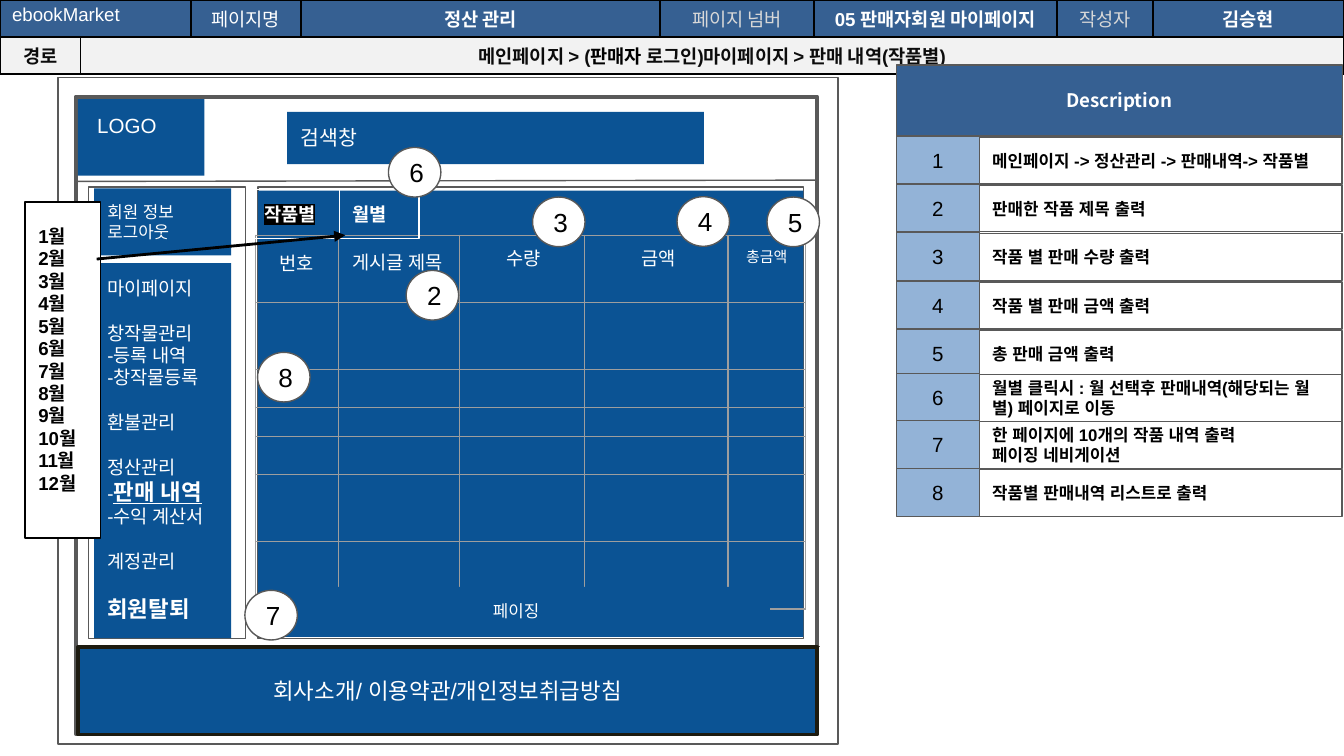
from lxml.etree import SubElement as Sub, Element as Elem
from pptx import Presentation
from pptx.dml.color import RGBColor as Rgb
from pptx.enum.shapes import MSO_CONNECTOR as Con, MSO_SHAPE as Kind
from pptx.enum.text import MSO_ANCHOR as Anchor, PP_ALIGN as Align
from pptx.oxml.ns import qn
from pptx.util import Pt

HEX = {
    "white": "FFFFFF", "black": "000000", "ink": "0C0C0C", "pale": "D8D8D8",
    "head": "366092", "band": "F2F2F2", "blue": "0B5394", "tag": "93B3D7",
    "gray": "595959", "grid": "9E9E9E", "dark": "1D1B10",
}
MID, TOP = Anchor.MIDDLE, Anchor.TOP
MAIN, ALT = "Arial", "Noto Sans CJK KR"
PAD = (7.2, 7.2, 7.2, 7.2)
FRAME = Pt(236.2)


def rgb(name):
    return Rgb.from_string(HEX[name])


def style(run, size, color, bold, font, east=None, under=False, mark=None):
    face = run.font
    face.size, face.bold, face.name = Pt(size), bold, font
    face.color.rgb = rgb(color)
    if under:
        face.underline = True
    props = run._r.get_or_add_rPr()
    props.find(qn("a:latin")).addnext(Elem(qn("a:ea"), typeface=east or font))
    if mark:
        high = Elem(qn("a:highlight"))
        Sub(high, qn("a:srgbClr"), val=HEX[mark])
        props.find(qn("a:solidFill")).addnext(high)


def write(box, text, size=10, color="white", bold=False, font=MAIN,
          align=Align.LEFT, anchor=TOP, pad=PAD, gaps=(), **more):
    """Fill a text frame or a cell; a line is a string or a list of (text, format)."""
    box.margin_left, box.margin_top, box.margin_right, box.margin_bottom = map(Pt, pad)
    box.vertical_anchor = anchor
    frame = getattr(box, "text_frame", box)
    lines = [text] if isinstance(text, str) else text
    for i, line in enumerate(lines):
        para = frame.add_paragraph() if i else frame.paragraphs[0]
        para.alignment = align
        if i in gaps:
            para.space_before = Pt(12)
        for words, extra in [(line, {})] if isinstance(line, str) else line:
            run = para.add_run()
            run.text = words
            base = dict(size=size, color=color, bold=bold, font=font, **more)
            style(run, **{**base, **extra})


class Page:
    def __init__(self, slide):
        self.shapes = slide.shapes

    def box(self, x, y, w, h, fill=None, line=None, width=0.75,
            kind=Kind.RECTANGLE, text=None, **form):
        shape = self.shapes.add_shape(kind, Pt(x), Pt(y), Pt(w), Pt(h))
        shape.shadow.inherit = False
        if fill:
            shape.fill.solid()
            shape.fill.fore_color.rgb = rgb(fill)
        else:
            shape.fill.background()
        if line:
            shape.line.color.rgb = rgb(line)
            shape.line.width = Pt(width)
        else:
            shape.line.fill.background()
        if text:
            shape.text_frame.word_wrap = True
            write(shape.text_frame, text, **form)

    def label(self, x, y, w, h, text, **form):
        frame = self.shapes.add_textbox(Pt(x), Pt(y), Pt(w), Pt(h)).text_frame
        frame.word_wrap = True
        write(frame, text, **form)

    def line(self, x1, y1, x2, y2, color="gray", width=0.75, arrow=False):
        link = self.shapes.add_connector(Con.STRAIGHT, Pt(x1), Pt(y1), Pt(x2), Pt(y2))
        link.line.color.rgb = rgb(color)
        link.line.width = Pt(width)
        if arrow:
            Sub(link.line._get_or_add_ln(), qn("a:tailEnd"), type="triangle")
        Sub(link._element.spPr, qn("a:effectLst"))

    def table(self, x, y, cols, rows, edge, width):
        holder = self.shapes.add_table(len(rows), len(cols), Pt(x), Pt(y), FRAME, FRAME)
        grid = holder.table
        grid.first_row = grid.horz_banding = False
        for col, size in zip(grid.columns, cols):
            col.width = Pt(size)
        for row, size in zip(grid.rows, rows):
            row.height = Pt(size)
        holder.width = holder.height = FRAME
        for cell in grid.iter_cells():
            props = cell._tc.get_or_add_tcPr()
            for side in "LRTB":
                ln = Sub(props, qn("a:ln" + side), w=str(Pt(width)))
                Sub(Sub(ln, qn("a:solidFill")), qn("a:srgbClr"), val=HEX[edge])
            cell.fill.background()
        return grid


deck = Presentation()
deck.slide_width, deck.slide_height = Pt(720), Pt(405)
page = Page(deck.slides.add_slide(deck.slide_layouts[6]))

# Header table
top = page.table(0, 0, [43.2, 59, 59, 192.4, 82.4, 130.3, 51.5, 102.2],
                 [17.3, 17.3], "black", 1)
top.cell(0, 0).merge(top.cell(0, 1))
top.cell(1, 1).merge(top.cell(1, 7))
for row, fill in enumerate(("head", "band")):
    for col in range(8):
        cell = top.cell(row, col)
        cell.fill.solid()
        cell.fill.fore_color.rgb = rgb(fill)
slim = dict(pad=(6.5, 2.7, 6.5, 2.7), east=ALT)
write(top.cell(0, 0), "ebookMarket", **slim)
for col, text, color, bold in (
        (2, "페이지명", "white", False), (3, "정산 관리", "white", True),
        (4, "페이지 넘버", "pale", False), (5, "05 판매자회원 마이페이지", "white", True),
        (6, "작성자", "pale", False), (7, "김승현", "white", True)):
    write(top.cell(0, col), text, color=color, bold=bold, align=Align.CENTER, **slim)
route = [[("메인페이지 > (", {}), ("판매자", {"color": "black"}),
          (" 로그인)마이페이지 > 판매 내역(작품별)", {})]]
for col, text in enumerate(("경로", route)):
    write(top.cell(1, col), text, color="ink", bold=True,
          align=Align.CENTER, anchor=MID, **slim)

# Wireframe outlines
page.box(31, 41.6, 418, 357.1, line="gray")
page.box(40.6, 51.8, 397.2, 341.3, line="gray", width=2.25)
page.line(41.8, 97.2, 438.5, 96.5)
page.line(41, 346.3, 439.2, 346.3)
page.box(138.2, 100.3, 292.3, 241.9, line="gray")
page.box(47.3, 100.3, 84.2, 241.9, line="gray")

# Blue panels
page.box(41.8, 53.1, 67.7, 41, "blue", text="LOGO", size=11, pad=(10.3, 7.2, 7.2, 7.2))
page.box(153.9, 59.9, 223.2, 28.1, "blue", text="검색창", size=11)
page.box(50.4, 100.9, 73.4, 36, "blue", text=["회원 정보", "로그아웃"], size=9)
page.box(41.8, 346.7, 396, 46.8, "blue", "dark", 2, size=12,
         text="회사소개/ 이용약관/개인정보취급방침",
         align=Align.CENTER, anchor=MID, pad=(7.2, 3.6, 7.2, 3.6))
page.box(138.2, 102.2, 292.3, 239, "blue")

# Side menu
big = dict(size=12, bold=True)
page.box(50.4, 141, 73.4, 200.9, "blue", gaps=(1, 4, 5, 8, 9), text=[
    "마이페이지", "창작물관리", "-등록 내역", "-창작물등록", "환불관리", "정산관리",
    [("-", {}), ("판매 내역", dict(big, under=True))],
    "-수익 계산서", "계정관리", [("회원탈퇴", big)]])

# Sales list: two stacked grids, tabs and column heads
cols = [44.3, 64.8, 67, 77, 41.5]
for y in (126, 218.2):
    grid = page.table(137, y, cols, [36] * 3, "grid", 0.75)
    if y == 126:
        write(grid.cell(0, 4), "총금액", size=8, align=Align.CENTER)
        for x, w, text in ((246.7, 67.7, "수량"), (318.7, 67.7, "금액")):
            page.label(x, 126, w, 26.6, text, align=Align.CENTER)
        page.label(181.6, 127.2, 79.2, 26.6, "게시글 제목", anchor=MID)
        page.label(137.5, 128.9, 42.5, 26.6, "번호", align=Align.CENTER)
        for x, w, text, mark in ((134.6, 47.3, "작품별", "black"),
                                 (181.9, 42.7, "월별", None)):
            page.box(x, 101.4, w, 26.6, line="white", text=text, bold=True, mark=mark)
page.box(155.5, 314.4, 257, 18.7, "blue", text="페이징", size=9,
         pad=(108.6, 7.2, 7.2, 7.2))

# Description list
page.box(480.1, 34.8, 239, 38, "head", "gray", text="Description",
         bold=True, font=ALT, align=Align.CENTER, anchor=MID)
notes = (
    (72.8, "메인페이지 -> 정산관리 -> 판매내역-> 작품별"),
    (98.5, "판매한 작품 제목 출력"),
    (124.6, "작품 별 판매 수량 출력"),
    (150.5, "작품 별 판매 금액 출력"),
    (176.4, "총 판매 금액 출력"),
    (200, "월별 클릭시 : 월 선택후 판매내역(해당되는 월별) 페이지로 이동"),
    (225.2, ["한 페이지에 10개의 작품 내역 출력", "페이징 네비게이션"]),
    (250.9, "작품별 판매내역 리스트로 출력"),
)
for num, (y, text) in enumerate(notes, 1):
    page.box(524.5, y + 0.5, 194.4, 25.2, "white", "gray", text=text,
             size=9, color="black", bold=True, anchor=MID)
    page.box(480.2, y, 44.6, 25.9, "tag", "gray", text=str(num),
             size=11, color="black", align=Align.CENTER, anchor=MID)

# Numbered markers
spots = ((217.6, 144.9), (285.3, 105.6), (362.7, 105.4), (410.9, 105.6),
         (208.1, 79), (131.2, 316.3), (138, 188.8))
for num, (x, y) in enumerate(spots, 2):
    page.box(x, y, 28.1, 26.6, "white", "gray", kind=Kind.OVAL,
             text=str(num), size=14, color="black", anchor=MID)

# Month list and its arrow
page.box(13.5, 108.3, 40.3, 180, "white", "black",
         text=[f"{month}월" for month in range(1, 13)],
         color="black", bold=True, anchor=MID, pad=(7.2, 7.2, 7.2, 18.7))
page.line(51.8, 138.8, 185, 126, "black", 1.5, arrow=True)

deck.save("out.pptx")
